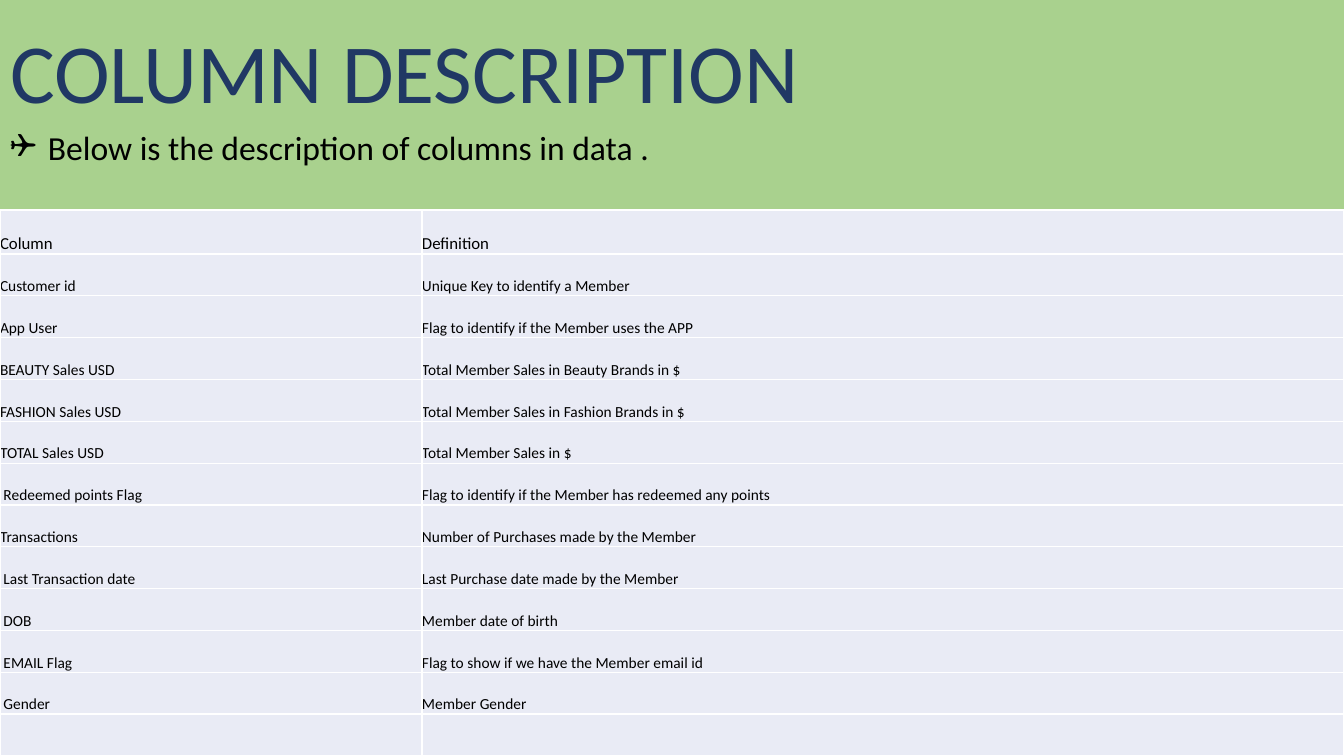
from lxml.etree import SubElement
from pptx import Presentation
from pptx.dml.color import RGBColor
from pptx.enum.text import MSO_ANCHOR, MSO_AUTO_SIZE, PP_ALIGN
from pptx.oxml.ns import qn
from pptx.util import Pt

EMU_PER_PX = 914400 / 100.8
NAVY = RGBColor(0x20, 0x38, 0x64)
BLACK = RGBColor(0x00, 0x00, 0x00)
WHITE = RGBColor(0xFF, 0xFF, 0xFF)
PALE_BLUE = RGBColor(0xE9, 0xEB, 0xF5)
GREEN = RGBColor(0xA9, 0xD1, 0x8E)
GREY = RGBColor(0x59, 0x59, 0x59)
LIGHT_BLUE = RGBColor(0xAB, 0xC0, 0xE4)
MIST = RGBColor(0xC7, 0xD5, 0xED)
BACKGROUND_STOPS = [(32, GREEN), (67, GREY), (100, LIGHT_BLUE), (100, MIST)]
COLUMNS = [
    ("Column", "Definition"),
    ("Customer id", "Unique Key to identify a Member"),
    ("App User", "Flag to identify if the Member uses the APP"),
    ("BEAUTY Sales USD", "Total Member Sales in Beauty Brands in $"),
    ("FASHION Sales USD", "Total Member Sales in Fashion Brands in $"),
    ("TOTAL Sales USD", "Total Member Sales in $"),
    (" Redeemed points Flag", "Flag to identify if the Member has redeemed any points"),
    ("Transactions", "Number of Purchases made by the Member"),
    (" Last Transaction date", "Last Purchase date made by the Member"),
    (" DOB", "Member date of birth"),
    (" EMAIL Flag", "Flag to show if we have the Member email id"),
    (" Gender", "Member Gender"),
    ("", ""),
]


def px(length):
    return round(length * EMU_PER_PX)


def add_run(paragraph, text, size, color):
    run = paragraph.add_run()
    run.text = text
    run.font.name = "Calibri"
    run.font.size = Pt(size)
    run.font.color.rgb = color


prs = Presentation()
prs.slide_width, prs.slide_height = px(1344), px(756)
slide = prs.slides.add_slide(prs.slide_layouts[5])

# Background gradient, running from top to bottom
background = slide.background.fill
background.gradient()
background.gradient_angle = 270
stops = slide.background._cSld.find(".//" + qn("a:gsLst"))
for default_stop in list(stops):
    stops.remove(default_stop)
for percent, color in BACKGROUND_STOPS:
    stop = SubElement(stops, qn("a:gs"), pos=str(percent * 1000))
    SubElement(stop, qn("a:srgbClr"), val=str(color))

# Title
title = slide.shapes.title
title.left, title.top, title.width, title.height = px(0), px(0), px(1344), px(127)
title.text_frame.auto_size = MSO_AUTO_SIZE.NONE
title.text_frame.vertical_anchor = MSO_ANCHOR.BOTTOM
heading = title.text_frame.paragraphs[0]
heading.alignment = PP_ALIGN.LEFT
heading.line_spacing = 0.9
add_run(heading, "COLUMN DESCRIPTION", 60, NAVY)

# Introduction with a box bullet
introduction = slide.shapes.add_textbox(px(0), px(127), px(1344), px(629))
introduction.text_frame.word_wrap = True
sentence = introduction.text_frame.paragraphs[0]
sentence.line_spacing = 0.9
sentence.space_before = Pt(10)
bullet_format = sentence._p.get_or_add_pPr()
bullet_format.set("marL", str(px(38)))
bullet_format.set("indent", str(-px(38)))
SubElement(bullet_format, qn("a:buFont"), typeface="Wingdings")
SubElement(bullet_format, qn("a:buChar"), char="❑")
add_run(sentence, "Below is the description of columns in data .", 24, BLACK)

# Table of columns: a slightly taller header, then equal rows
header_height, body_height = px(44), px(502)
descriptions = slide.shapes.add_table(
    len(COLUMNS), 2, px(0), px(210), px(1344), header_height + body_height
).table
descriptions.first_row = False
descriptions.horz_banding = False
descriptions.columns[0].width = px(422)
descriptions.columns[1].width = px(922)

for row_index, texts in enumerate(COLUMNS):
    is_header = row_index == 0
    descriptions.rows[row_index].height = (
        header_height if is_header else body_height // (len(COLUMNS) - 1)
    )
    for column_index, text in enumerate(texts):
        cell = descriptions.cell(row_index, column_index)
        cell.margin_left = cell.margin_right = cell.margin_top = cell.margin_bottom = 0
        cell.vertical_anchor = MSO_ANCHOR.BOTTOM
        for side in ("lnL", "lnR", "lnT", "lnB"):
            border = SubElement(cell._tc.get_or_add_tcPr(), qn("a:" + side), w=str(Pt(1)))
            border_fill = SubElement(border, qn("a:solidFill"))
            SubElement(border_fill, qn("a:srgbClr"), val=str(WHITE))
        cell.fill.solid()
        cell.fill.fore_color.rgb = PALE_BLUE
        if text:
            add_run(cell.text_frame.paragraphs[0], text, 12 if is_header else 11, BLACK)

prs.save("out.pptx")
